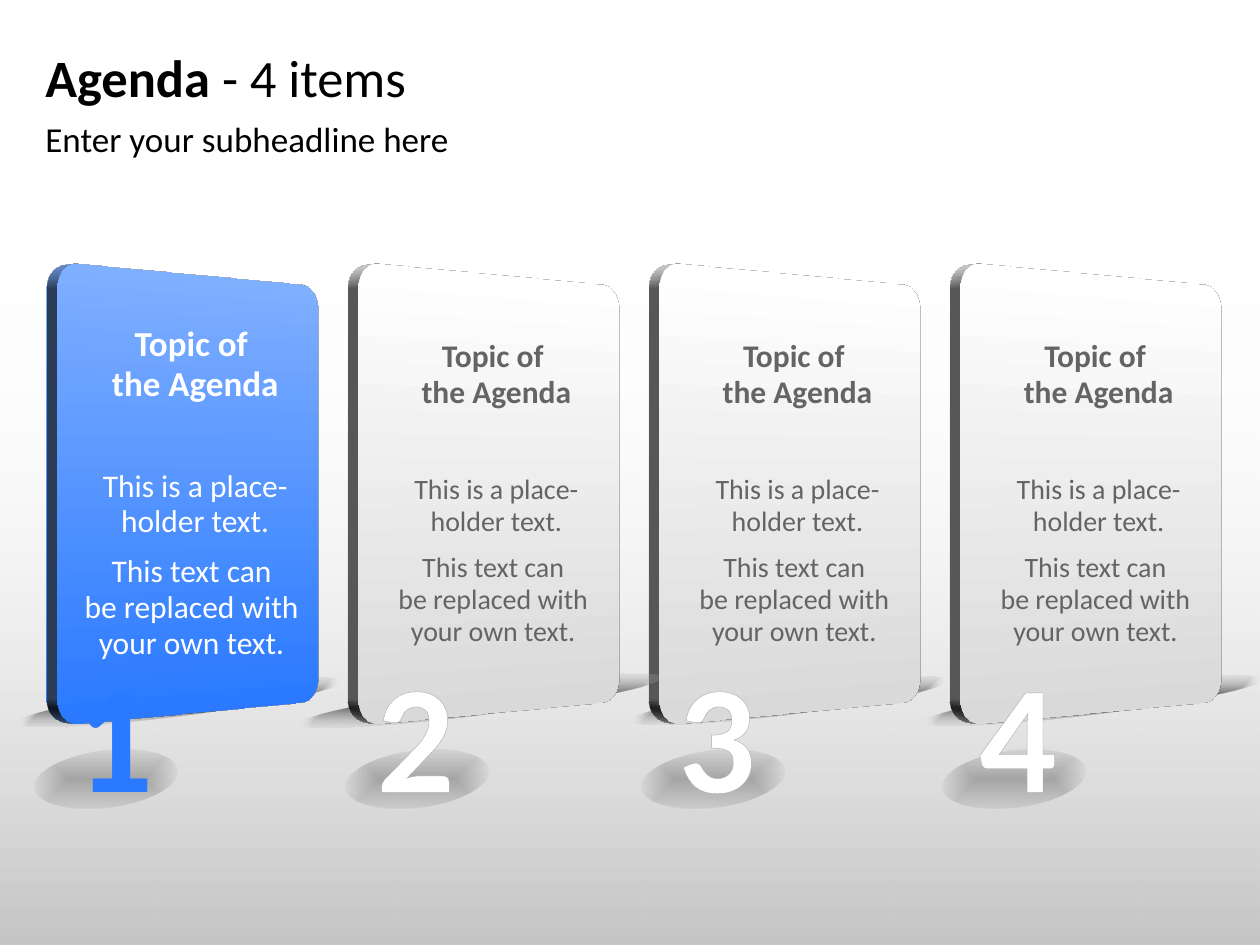
from lxml import etree
from pptx import Presentation
from pptx.dml.color import RGBColor
from pptx.enum.shapes import MSO_SHAPE
from pptx.enum.text import MSO_ANCHOR, MSO_AUTO_SIZE, PP_ALIGN
from pptx.oxml.ns import qn
from pptx.util import Inches, Pt

RECT, OVAL = MSO_SHAPE.RECTANGLE, MSO_SHAPE.OVAL
ROUNDED = MSO_SHAPE.ROUNDED_RECTANGLE
MIDDLE, TOP = MSO_ANCHOR.MIDDLE, MSO_ANCHOR.TOP
CENTER = PP_ALIGN.CENTER

# Content
TITLE = [("Agenda ", True), ("- 4 items", False)]
SUBHEADLINE = [("Enter your subheadline here", False)]
TOPIC = "Topic of \vthe Agenda"
BODY = ["This is a place-\vholder text.",
        "This text can \vbe replaced with \vyour own text. "]
# number, state, floor shadow (left, top, width), left of the number's spot
ITEMS = [
    ("1", "active", (0.13, 5.46, 2.58), 0.27),
    ("2", "idle", (2.37, 5.45, 2.9), 2.74),
    ("3", "idle", (5, 5.45, 2.52), 5.09),
    ("4", "idle", (7.33, 5.45, 2.69), 7.48),
]

THEME = {
    "font": "Calibri", "ink": "000000", "title": 30, "subheadline": 20,
    "number": 88, "outline": "AFAFAF",
    "active": {"face": ("7FAFFF", "2A79FF"), "text": "FFFFFF",
               "number": "2A79FF", "topic": 20, "body": 18},
    "idle": {"face": ("FFFFFF", "D9D9D9"), "text": "646464",
             "number": "FFFFFF", "topic": 18, "body": 16},
}

# Layout
SLIDE_W, SLIDE_H = 10, 7.5
MARGIN = 0.36
FLOOR_TOP = 2.21
FIRST_PANEL, PITCH = 0.2, 2.39
PANEL_TOP, PANEL_W, PANEL_H = 2.18, 2.7, 3.47
PANEL_DEPTH = Pt(10)
PANEL_TURN = 320
TILT = 352.9

prs = Presentation()
prs.slide_width, prs.slide_height = Inches(SLIDE_W), Inches(SLIDE_H)
slide = prs.slides.add_slide(prs.slide_layouts[6])
shapes = slide.shapes


def add_node(parent, tag, **attributes):
    return etree.SubElement(parent, qn(tag), attributes)


def fill_gradient(shape, stops, angle=None):
    """Stops are (position, colour, opacity); no angle means a fill from the centre."""
    shape.fill.background()
    empty = shape.fill._xPr.find(qn("a:noFill"))
    grad = etree.Element(qn("a:gradFill"), rotWithShape="1")
    stop_list = add_node(grad, "a:gsLst")
    for position, colour, opacity in stops:
        stop = add_node(stop_list, "a:gs", pos=str(position * 1000))
        rgb = add_node(stop, "a:srgbClr", val=colour)
        if opacity < 100:
            add_node(rgb, "a:alpha", val=str(opacity * 1000))
    if angle is None:
        centre = add_node(grad, "a:path", path="shape")
        add_node(centre, "a:fillToRect", **dict.fromkeys("ltrb", "50000"))
    else:
        add_node(grad, "a:lin", ang=str(angle * 60000), scaled="0")
    empty.getparent().replace(empty, grad)


def add_soft(kind, box, stops, angle=None, rotation=0):
    shape = shapes.add_shape(kind, *map(Inches, box))
    shape.shadow.inherit = False
    shape.line.fill.background()
    shape.rotation = rotation
    fill_gradient(shape, stops, angle)
    return shape


def style(font, size, colour, bold=False):
    font.name, font.size, font.bold = THEME["font"], Pt(size), bold
    font.color.rgb = RGBColor.from_string(colour)


def add_heading(top, height, runs, size, anchor):
    frame = shapes.add_textbox(*map(Inches, (
        MARGIN, top, SLIDE_W - 2 * MARGIN, height))).text_frame
    frame.word_wrap = True
    frame.vertical_anchor = anchor
    frame.margin_left = frame.margin_right = 0
    frame.margin_top = frame.margin_bottom = 0
    for text, bold in runs:
        run = frame.paragraphs[0].add_run()
        run.text = text
        style(run.font, size, THEME["ink"], bold)


def turn_in_space(shape):
    """Give the panel depth and turn its face to the right."""
    properties = shape._element.spPr
    scene = add_node(properties, "a:scene3d")
    camera = add_node(scene, "a:camera", prst="perspectiveRight")
    add_node(camera, "a:rot", lat="0", lon=str(PANEL_TURN * 60000), rev="0")
    add_node(scene, "a:lightRig", rig="threePt", dir="t")
    add_node(properties, "a:sp3d", extrusionH=str(PANEL_DEPTH))


def add_panel(left, look):
    light, deep = look["face"]
    panel = add_soft(ROUNDED, (left, PANEL_TOP, PANEL_W, PANEL_H),
                     [(0, light, 100), (100, deep, 100)], 90)
    panel.adjustments[0] = 0.073
    turn_in_space(panel)
    frame = panel.text_frame
    frame.word_wrap = True
    frame.vertical_anchor = MIDDLE
    frame.margin_left = frame.margin_right = 0
    for index, text in enumerate([TOPIC, *BODY]):
        paragraph = frame.paragraphs[0] if index == 0 else frame.add_paragraph()
        paragraph.text = text
        paragraph.alignment = CENTER
        paragraph.line_spacing = 0.95
        paragraph.space_after = Pt(8 if index else 36.5)
        size = look["body"] if index else look["topic"]
        for run in paragraph.runs:
            style(run.font, size, look["text"], index == 0)


def add_number(left, number, colour):
    frame = shapes.add_textbox(*map(Inches, (left, 5.02, 0.83, 1.58))).text_frame
    frame.word_wrap = False
    frame.auto_size = MSO_AUTO_SIZE.SHAPE_TO_FIT_TEXT
    run = frame.paragraphs[0].add_run()
    run.text = number
    style(run.font, THEME["number"], colour, True)
    outline = etree.Element(qn("a:ln"), w=str(Pt(1.45)))
    add_node(add_node(outline, "a:solidFill"), "a:srgbClr", val=THEME["outline"])
    run.font._rPr.insert(0, outline)


# Floor: two layers of haze
for opacity in (10, 15):
    add_soft(RECT, (0, FLOOR_TOP, SLIDE_W, SLIDE_H - FLOOR_TOP),
             [(0, "000000", opacity), (100, "FFFFFF", 0)], 270)

# Headings
add_heading(0.27, 0.67, TITLE, THEME["title"], MIDDLE)
add_heading(0.93, 0.37, SUBHEADLINE, THEME["subheadline"], TOP)

# Agenda panels, the last one furthest back
for index, (number, state, floor_shadow, spot_left) in reversed(
        list(enumerate(ITEMS))):
    panel_left = FIRST_PANEL + index * PITCH
    add_soft(OVAL, (*floor_shadow, 0.22),
             [(0, "000000", 78), (100, "FFFFFF", 0)], rotation=TILT)
    add_panel(panel_left, THEME[state])
    add_soft(OVAL, (spot_left, 5.96, 1.14, 0.45),
             [(0, "000000", 25), (100, "000000", 0)], rotation=TILT)
    add_number(panel_left + 0.3, number, THEME[state]["number"])

prs.save("out.pptx")
